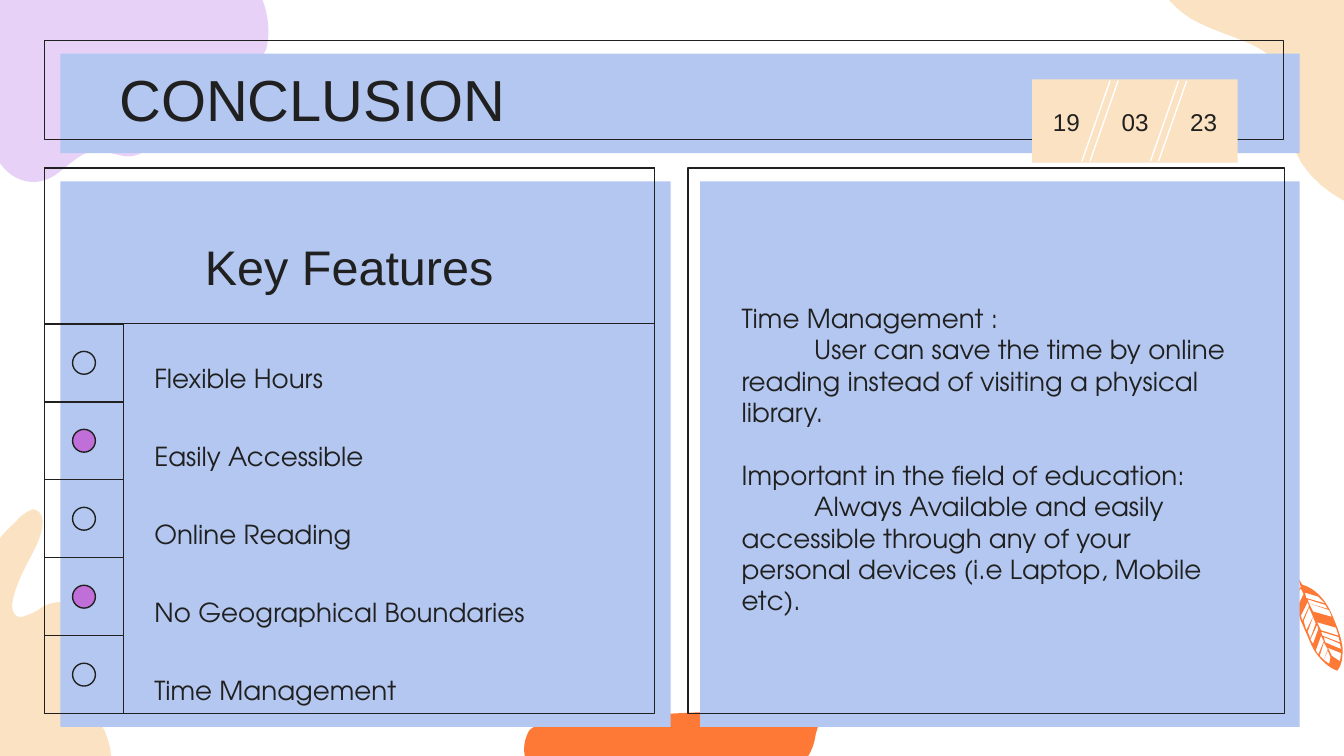
from dataclasses import dataclass

from lxml.etree import SubElement
from pptx import Presentation
from pptx.dml.color import RGBColor
from pptx.enum.shapes import MSO_CONNECTOR as Connector, MSO_SHAPE as Shape
from pptx.enum.text import MSO_ANCHOR as Anchor, PP_ALIGN as Align
from pptx.oxml.ns import qn
from pptx.util import Inches, Pt


@dataclass(frozen=True)
class Theme:
    ink: str = "202020"
    panel: str = "B3C7F0"
    cream: str = "FAE2C2"
    orange: str = "FD7935"
    lilac: str = "E7D1F7"
    mark: str = "C16FD8"
    white: str = "FFFFFF"
    display: str = "Arial"
    body: str = "TeX Gyre Adventor"
    title_size: int = 31
    heading_size: int = 26
    body_size: int = 14
    date_size: int = 13
    line: float = 0.75


theme = Theme()
WIDTH = 10
HEIGHT = WIDTH * 9 / 16

TITLE = "CONCLUSION"
DATE = ["19", "03", "23"]
HEADING = "Key Features"
FEATURES = [
    ("Flexible Hours", False),
    ("Easily Accessible", True),
    ("Online Reading", False),
    ("No Geographical Boundaries", True),
    ("Time Management", False),
]
BENEFITS = [
    ("Time Management :",
     "User can save the time by online reading instead of visiting a physical library."),
    ("Important in the field of education:",
     "Always Available and easily accessible through any of your personal devices "
     "(i.e Laptop, Mobile etc)."),
]

COLUMNS = {"full": (0.33, 9.22), "left": (0.33, 4.54), "right": (5.12, 4.44)}
BACKINGS = {"full": (0.45, 9.22), "left": (0.45, 4.54), "right": (5.21, 4.46)}
ROWS = {"header": (0.3, 0.74), "body": (1.25, 4.06), "heading": (1.25, 1.16)}
DROP = 0.1
BADGE = (7.68, 0.59, 1.53, 0.62)
CHECK_WIDTH, DOT = 0.59, 0.17

CREAM_WAVE = [(0.25, 3.79), (0.23, 3.79, 0.22, 3.8, 0.2, 3.81), (0.17, 3.83, 0.14, 3.85, 0.12, 3.88),
    (-0.07, 4.04, -0.2, 4.31, -0.28, 4.53), (-0.37, 4.8, -0.39, 5.1, -0.31, 5.38),
    (-0.23, 5.68, 0.05, 6.08, 0.38, 6.08), (0.47, 6.08, 0.55, 6.05, 0.64, 5.99),
    (0.84, 5.86, 0.87, 5.65, 0.78, 5.44), (0.68, 5.24, 0.47, 5.09, 0.51, 4.84),
    (0.52, 4.77, 0.55, 4.7, 0.56, 4.62), (0.56, 4.52, 0.52, 4.48, 0.45, 4.48),
    (0.41, 4.48, 0.36, 4.49, 0.31, 4.52), (0.27, 4.55, 0.23, 4.57, 0.19, 4.58),
    (0.18, 4.59, 0.16, 4.59, 0.15, 4.59), (0.11, 4.59, 0.09, 4.55, 0.09, 4.5),
    (0.11, 4.35, 0.19, 4.22, 0.26, 4.08), (0.29, 4.02, 0.36, 3.86, 0.28, 3.8),
    (0.27, 3.8, 0.26, 3.79, 0.25, 3.79)]
ORANGE_MOUND = [(5.95, 5.27), (5.93, 5.27, 5.9, 5.27, 5.88, 5.27), (5.31, 5.3, 4.73, 5.31, 4.18, 5.37),
    (4.05, 5.38, 3.95, 5.4, 3.93, 5.45), (3.88, 5.55, 3.89, 5.66, 3.97, 5.76),
    (3.99, 5.78, 4.02, 5.8, 4.07, 5.82), (4.13, 5.84, 4.2, 5.84, 4.28, 5.84),
    (4.47, 5.84, 4.61, 5.84, 4.74, 5.84), (5.02, 5.83, 5.29, 5.83, 5.56, 5.81),
    (5.8, 5.8, 5.92, 5.74, 5.98, 5.67), (6.04, 5.6, 6.06, 5.53, 6.07, 5.46),
    (6.08, 5.43, 6.09, 5.39, 6.1, 5.36), (6.11, 5.33, 6.12, 5.3, 6.05, 5.28),
    (6.02, 5.27, 5.98, 5.27, 5.95, 5.27)]
LILAC_CLOUD = [(1.96, 0.42), (1.96, 0.4, 1.97, 0.39, 1.98, 0.37), (2.02, 0.23, 1.99, 0.04, 1.91, -0.09),
    (1.81, -0.27, 1.64, -0.38, 1.44, -0.41), (1.36, -0.42, 1.28, -0.43, 1.2, -0.43),
    (0.94, -0.45, 0.66, -0.44, 0.4, -0.37), (0.24, -0.32, 0.08, -0.24, -0.03, -0.12),
    (-0.06, -0.09, -0.08, -0.05, -0.1, -0.02), (-0.25, 0.23, -0.21, 0.54, -0.15, 0.81),
    (-0.12, 0.96, -0.08, 1.12, 0.02, 1.24), (0.12, 1.36, 0.27, 1.39, 0.4, 1.31),
    (0.51, 1.24, 0.6, 1.12, 0.73, 1.12), (0.85, 1.13, 0.92, 1.19, 1.03, 1.15),
    (1.32, 1.04, 1.31, 0.67, 1.63, 0.59), (1.75, 0.54, 1.89, 0.53, 1.96, 0.42)]
CREAM_CORNER = [(9.88, -0.99), (9.56, -0.99, 9.24, -0.94, 8.95, -0.87),
    (8.87, -0.85, 8.8, -0.83, 8.73, -0.8), (8.57, -0.7, 8.53, -0.52, 8.54, -0.36),
    (8.57, -0.13, 8.71, 0.07, 8.92, 0.17), (9.04, 0.23, 9.18, 0.27, 9.31, 0.33),
    (9.4, 0.37, 9.49, 0.44, 9.55, 0.52), (9.63, 0.63, 9.59, 0.78, 9.59, 0.91),
    (9.6, 1.29, 9.97, 1.54, 10.32, 1.61), (10.37, 1.62, 10.42, 1.62, 10.47, 1.62),
    (10.61, 1.62, 10.75, 1.59, 10.86, 1.5), (11.07, 1.33, 11.1, 1.06, 11.1, 0.82),
    (11.1, 0.51, 11.06, 0.2, 11, -0.1), (10.96, -0.33, 10.9, -0.57, 10.74, -0.73),
    (10.6, -0.87, 10.41, -0.94, 10.22, -0.97), (10.11, -0.98, 9.99, -0.99, 9.88, -0.99)]
LEAF = [(9.64, 4.27), (9.66, 4.31, 9.67, 4.34, 9.68, 4.37), (9.67, 4.37, 9.67, 4.38, 9.66, 4.39),
    (9.63, 4.42, 9.63, 4.47, 9.64, 4.51), (9.64, 4.54, 9.66, 4.57, 9.67, 4.59),
    (9.68, 4.63, 9.7, 4.66, 9.71, 4.69), (9.74, 4.75, 9.76, 4.82, 9.8, 4.87),
    (9.84, 4.92, 9.89, 4.97, 9.95, 4.99), (9.99, 4.94, 9.99, 4.88, 9.99, 4.82),
    (9.98, 4.75, 9.96, 4.69, 9.93, 4.62), (9.89, 4.51, 9.82, 4.39, 9.69, 4.35),
    (9.67, 4.32, 9.66, 4.3, 9.65, 4.27)]
LEAF_GAPS = [
    [(9.67, 4.39), (9.68, 4.38), (9.7, 4.42), (9.65, 4.52), (9.64, 4.46)],
    [(9.71, 4.41), (9.81, 4.44), (9.86, 4.49), (9.72, 4.45)],
    [(9.73, 4.48), (9.74, 4.51), (9.69, 4.62), (9.68, 4.58)],
    [(9.74, 4.52), (9.77, 4.59), (9.72, 4.69), (9.7, 4.62)],
    [(9.73, 4.46), (9.86, 4.5), (9.88, 4.53), (9.74, 4.49)],
    [(9.77, 4.59), (9.79, 4.64), (9.75, 4.75), (9.73, 4.7)],
    [(9.74, 4.49), (9.89, 4.54), (9.91, 4.59), (9.77, 4.55)],
    [(9.8, 4.65), (9.81, 4.68), (9.77, 4.79), (9.75, 4.76)],
    [(9.83, 4.73), (9.85, 4.77), (9.81, 4.87), (9.79, 4.84)],
    [(9.85, 4.78), (9.88, 4.83), (9.85, 4.91), (9.82, 4.88)],
    [(9.8, 4.63), (9.94, 4.67), (9.96, 4.73), (9.83, 4.69)],
    [(9.83, 4.7), (9.96, 4.74), (9.97, 4.78), (9.84, 4.73)],
    [(9.85, 4.74), (9.97, 4.79), (9.98, 4.83), (9.86, 4.78)],
    [(9.88, 4.84), (9.9, 4.89), (9.89, 4.94), (9.85, 4.91)],
    [(9.88, 4.82), (9.98, 4.86), (9.97, 4.92), (9.91, 4.88)],
]


def paint(shape, fill=None, line=None):
    shape.shadow.inherit = False
    if fill:
        shape.fill.solid()
        shape.fill.fore_color.rgb = RGBColor.from_string(fill)
    else:
        shape.fill.background()
    if line:
        shape.line.color.rgb = RGBColor.from_string(line)
        shape.line.width = Pt(theme.line)
    else:
        shape.line.fill.background()


def add_block(shapes, place, fill=None, line=None, kind=Shape.RECTANGLE):
    block = shapes.add_shape(kind, *map(Inches, place))
    paint(block, fill, line)
    return block


def trace(curves, steps=10):
    points = [curves[0]]
    for ax, ay, bx, by, ex, ey in curves[1:]:
        sx, sy = points[-1]
        for t in (step / steps for step in range(1, steps + 1)):
            u = 1 - t
            weights = (u**3, 3 * u * u * t, 3 * u * t * t, t**3)
            points.append(tuple(sum(w * v for w, v in zip(weights, axis))
                                for axis in ((sx, ax, bx, ex), (sy, ay, by, ey))))
    return points


def add_blob(page, curves, fill, gaps=()):
    outline, *holes = [[(Inches(x), Inches(y)) for x, y in ring] for ring in (trace(curves), *gaps)]
    builder = page.shapes.build_freeform(*outline[0])
    builder.add_line_segments(outline[1:])
    for hole in holes:
        builder.move_to(*hole[0])
        builder.add_line_segments(hole[1:])
    paint(builder.convert_to_shape(), fill)


def write(box, lines, font, size, align=Align.LEFT, anchor=Anchor.MIDDLE, insets=(0.1, 0.1)):
    frame = box.text_frame
    frame.word_wrap = True
    frame.vertical_anchor = anchor
    frame.margin_left = frame.margin_right = Inches(0.1)
    frame.margin_top, frame.margin_bottom = map(Inches, insets)
    for index, (text, indent, before) in enumerate(lines):
        para = frame.add_paragraph() if index else frame.paragraphs[0]
        para.alignment = align
        para.space_before = Pt(before)
        para._p.get_or_add_pPr().set("indent", str(Inches(indent)))
        span = para.add_run()
        span.text = text
        span.font.name, span.font.size = font, Pt(size)
        span.font.color.rgb = RGBColor.from_string(theme.ink)


def add_text(page, place, lines, font, size, **layout):
    write(page.shapes.add_textbox(*map(Inches, place)), lines, font, size, **layout)


def cell(column, row, drop=0):
    (left, width), (top, height) = column, ROWS[row]
    return left, top + drop, width, height


def add_backing(page, name, row):
    add_block(page.shapes, cell(BACKINGS[name], row, DROP), theme.panel)


def add_badge(page):
    left, top, width, height = BADGE
    add_block(page.shapes, BADGE, theme.cream)
    step = width / len(DATE)
    for index, part in enumerate(DATE):
        add_text(page, (left + index * step, top + 0.15, step, 0.33), [(part, 0, 0)],
                 theme.display, theme.date_size, align=Align.CENTER)
        for shift in (0.07, 0.13) if index else ():
            x = left + index * step + shift
            ends = (x, top + 0.01, x - 0.21, top + height - 0.01)
            slash = page.shapes.add_connector(Connector.STRAIGHT, *map(Inches, ends))
            slash.line.color.rgb = RGBColor.from_string(theme.white)
            slash.line.width = Pt(theme.line)
            SubElement(slash._element.spPr, qn("a:effectLst"))


def add_features(page):
    left = COLUMNS["left"][0]
    first = sum(ROWS["heading"])
    step = (sum(ROWS["body"]) - first) / len(FEATURES)
    for index, (name, marked) in enumerate(FEATURES):
        top = first + index * step
        check = page.shapes.add_group_shape().shapes
        add_block(check, (left, top, CHECK_WIDTH, step), line=theme.ink)
        add_block(check, (left + (CHECK_WIDTH - DOT) / 2, top + (step - DOT) / 2, DOT, DOT),
                  theme.mark if marked else None, theme.ink, Shape.OVAL)
        add_text(page, (1.05, top + 0.07, 3.64, 0.45), [(name, 0, 0)],
                 theme.body, theme.body_size, insets=(0.22, 0))


def main():
    deck = Presentation()
    deck.slide_width, deck.slide_height = Inches(WIDTH), Inches(HEIGHT)
    page = deck.slides.add_slide(deck.slide_layouts[6])

    add_blob(page, CREAM_WAVE, theme.cream)
    add_blob(page, ORANGE_MOUND, theme.orange)
    add_backing(page, "left", "body")
    add_blob(page, LILAC_CLOUD, theme.lilac)
    add_blob(page, CREAM_CORNER, theme.cream)
    add_backing(page, "full", "header")
    add_blob(page, LEAF, theme.orange, LEAF_GAPS)
    add_backing(page, "right", "body")
    for name, row in (("right", "body"), ("left", "body"), ("full", "header")):
        add_block(page.shapes, cell(COLUMNS[name], row), line=theme.ink)

    add_badge(page)
    add_text(page, (0.79, 0.42, 6.8, 0.62), [(TITLE, 0, 0)], theme.display, theme.title_size)
    heading = add_block(page.shapes, cell(COLUMNS["left"], "heading"), line=theme.ink)
    write(heading, [(HEADING, 0, 0)], theme.display, theme.heading_size,
          align=Align.CENTER, insets=(0.3, 0))
    add_features(page)
    lines = []
    for index, (topic, detail) in enumerate(BENEFITS):
        lines += [(topic, 0, 16.8 if index else 0), (detail, 0.54, 0)]
    add_text(page, (5.42, 2.15, 3.83, 2.5), lines, theme.body, theme.body_size, anchor=Anchor.TOP)
    deck.save("out.pptx")


if __name__ == "__main__":
    main()
